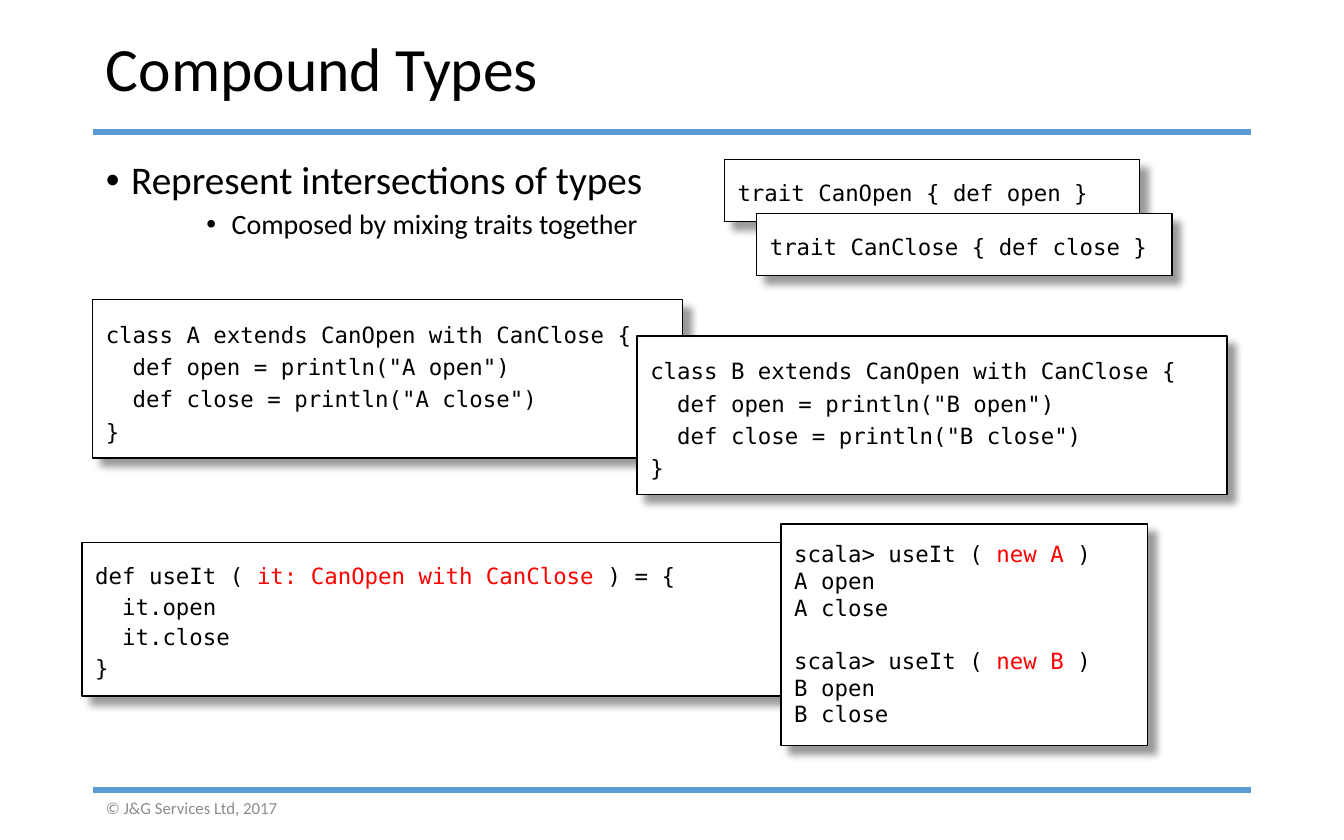
"""Build the Compound Types slide with its overlapping code panels."""
from lxml import etree
from pptx import Presentation
from pptx.dml.color import RGBColor
from pptx.enum.shapes import MSO_CONNECTOR, MSO_SHAPE
from pptx.enum.text import MSO_ANCHOR, PP_ALIGN
from pptx.oxml.ns import qn
from pptx.util import Cm, Pt

STRAIGHT, RECTANGLE = MSO_CONNECTOR.STRAIGHT, MSO_SHAPE.RECTANGLE
TOP, MIDDLE, LEFT = MSO_ANCHOR.TOP, MSO_ANCHOR.MIDDLE, PP_ALIGN.LEFT
BLACK = RGBColor(0x00, 0x00, 0x00)
WHITE = RGBColor(0xFF, 0xFF, 0xFF)
RED = RGBColor(0xFF, 0x00, 0x00)
BLUE = RGBColor(0x5B, 0x9B, 0xD5)
GREY = RGBColor(0x8C, 0x8C, 0x8C)
TEXT_FONT, CODE_FONT = "Calibri", "DejaVu Sans Mono"

MARGIN, CONTENT_WIDTH = 1.75, 21.9
RULE_HEIGHTS = (2.49, 14.94)
TITLE = "Compound Types"
FOOTER = "© J&G Services Ltd, 2017"
BULLETS = [
    ("Represent intersections of types", 0, 21, 0.48, 0),
    ("Composed by mixing traits together", 2, 15, 2.38, 3.8),
]
BULLET_HANG = 0.48

TRAIT_SIZE, CLASS_SIZE = (7.85, 1.17), (11.15, 3)
HIGHLIGHT = "|"
PROMPT = "scala>"


def class_code(name):
    return [
        f"class {name} extends CanOpen with CanClose {{",
        f'  def open = println("{name} open")',
        f'  def close = println("{name} close")',
        "}",
    ]


def session(name):
    return [f"{PROMPT} useIt ( |new {name}| )", f"{name} open", f"{name} close"]


USE_IT = ["def useIt ( |it: CanOpen with CanClose |) = {", "  it.open", "  it.close", "}"]
PANELS = [
    ((13.69, 3.02), TRAIT_SIZE, 16.4, ["trait CanOpen { def open }"]),
    ((14.3, 4.04), TRAIT_SIZE, 16.4, ["trait CanClose { def close }"]),
    ((1.55, 10.26), (13.94, 2.9), 16.4, USE_IT),
    ((1.75, 5.66), CLASS_SIZE, 17.4, class_code("A")),
    ((12.04, 6.35), CLASS_SIZE, 17.4, class_code("B")),
    ((14.76, 9.91), (6.93, 4.19), None, session("A") + session("B")),
]


def apply(target, values):
    for attribute, value in values.items():
        setattr(target, attribute, value)


def add_run(paragraph, text, font_name, size, color):
    run = paragraph.add_run()
    run.text = text
    apply(run.font, {"name": font_name, "size": Pt(size)})
    run.font.color.rgb = color


def paragraphs(frame, lines):
    for index, line in enumerate(lines):
        yield (frame.add_paragraph() if index else frame.paragraphs[0]), line


def add_text_frame(slide, left, top, width, height, anchor):
    frame = slide.shapes.add_textbox(Cm(left), Cm(top), Cm(width), Cm(height)).text_frame
    apply(frame, {"word_wrap": True, "vertical_anchor": anchor})
    return frame


def add_rule(slide, height):
    rule = slide.shapes.add_connector(
        STRAIGHT, Cm(MARGIN), Cm(height), Cm(MARGIN + CONTENT_WIDTH), Cm(height))
    rule.line.color.rgb = BLUE
    rule.line.width = Pt(3)
    etree.SubElement(rule._element.spPr, qn("a:effectLst"))


def add_bullets(slide):
    frame = add_text_frame(slide, MARGIN, 2.92, CONTENT_WIDTH, 2.01, TOP)
    for paragraph, (text, level, size, indent, before) in paragraphs(frame, BULLETS):
        properties = paragraph._p.get_or_add_pPr()
        properties.set("marL", str(Cm(indent)))
        properties.set("indent", str(-Cm(BULLET_HANG)))
        etree.SubElement(properties, qn("a:buFont"), typeface="Arial")
        etree.SubElement(properties, qn("a:buChar"), char="•")
        apply(paragraph, {"level": level, "line_spacing": 0.9})
        if before:
            paragraph.space_before = Pt(before)
        add_run(paragraph, text, TEXT_FONT, size, BLACK)


def add_shadow(shape):
    shape.shadow.inherit = False
    effects = shape._element.spPr.find(qn("a:effectLst"))
    shadow = etree.SubElement(
        effects, qn("a:outerShdw"), blurRad=str(Pt(4)), dist=str(Pt(6)),
        dir=str(45 * 60000), algn="tl", rotWithShape="0")
    color = etree.SubElement(shadow, qn("a:srgbClr"), val=str(BLACK))
    etree.SubElement(color, qn("a:alpha"), val="40000")


def add_panel(slide, position, size, spacing, code):
    panel = slide.shapes.add_shape(RECTANGLE, *map(Cm, position + size))
    panel.fill.solid()
    panel.fill.fore_color.rgb = WHITE
    panel.line.color.rgb = BLACK
    panel.line.width = Pt(0.75)
    add_shadow(panel)
    frame = panel.text_frame
    apply(frame, {
        "word_wrap": True, "vertical_anchor": TOP,
        "margin_left": Cm(0.25), "margin_right": Cm(0.25),
        "margin_top": Cm(0.3), "margin_bottom": Cm(0.3),
    })
    for paragraph, line in paragraphs(frame, code):
        paragraph.alignment = LEFT
        if spacing:
            paragraph.line_spacing = Pt(spacing)
        if line.startswith(PROMPT) and line != code[0]:
            paragraph.space_before = Pt(14)
        for index, part in enumerate(line.split(HIGHLIGHT)):
            add_run(paragraph, part, CODE_FONT, 12, RED if index % 2 else BLACK)


def main():
    presentation = Presentation()
    apply(presentation, {"slide_width": Cm(25.4), "slide_height": Cm(15.88)})
    slide = presentation.slides.add_slide(presentation.slide_layouts[6])
    for height in RULE_HEIGHTS:
        add_rule(slide, height)
    footer = add_text_frame(slide, MARGIN, 15.01, 5.72, 0.53, MIDDLE)
    add_run(footer.paragraphs[0], FOOTER, TEXT_FONT, 9, GREY)
    title = add_text_frame(slide, MARGIN, 0.46, CONTENT_WIDTH, 1.78, MIDDLE)
    title.paragraphs[0].line_spacing = 0.9
    add_run(title.paragraphs[0], TITLE, TEXT_FONT, 33, BLACK)
    add_bullets(slide)
    for panel in PANELS:
        add_panel(slide, *panel)
    presentation.save("out.pptx")


if __name__ == "__main__":
    main()
